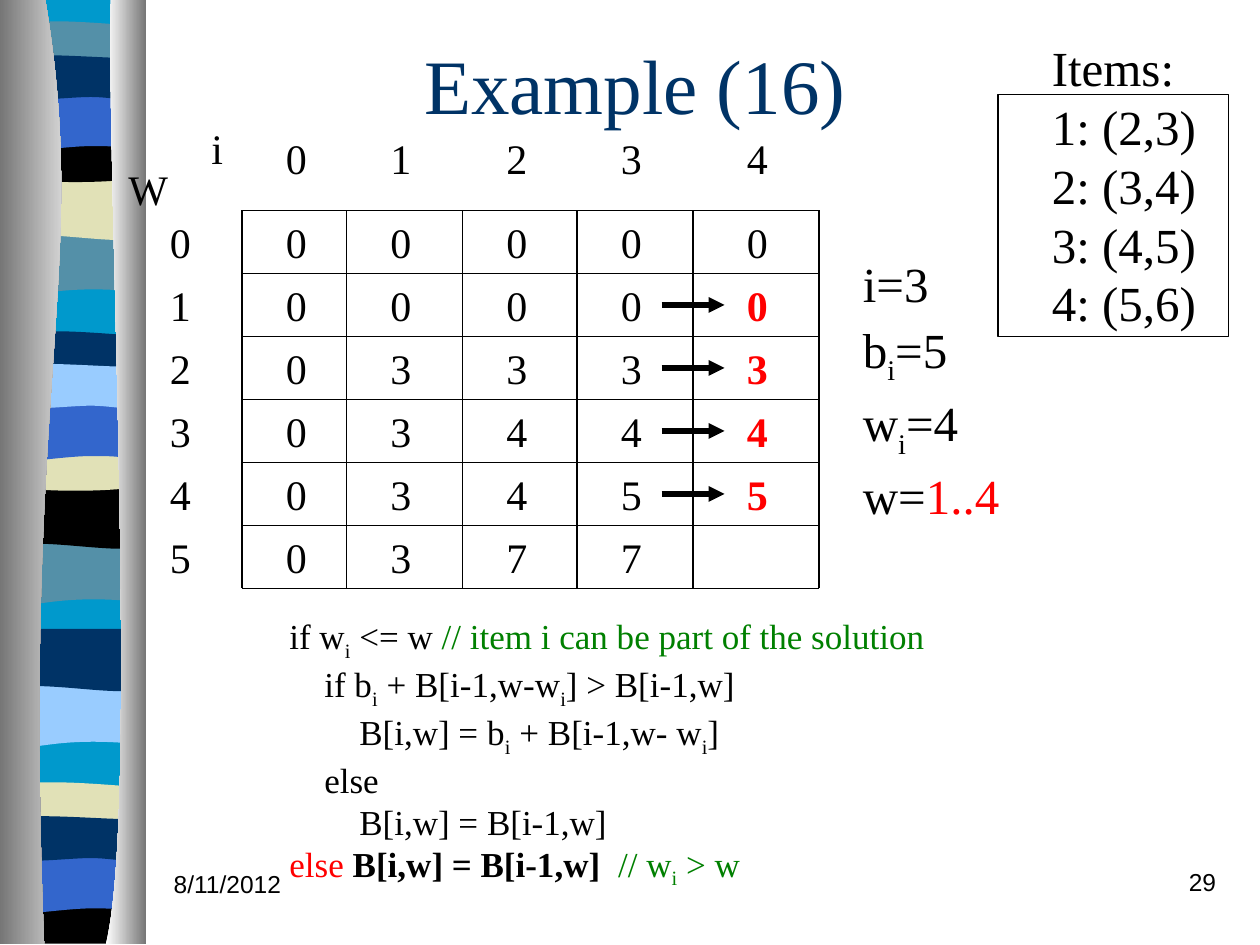
from lxml import etree
from pptx import Presentation
from pptx.dml.color import RGBColor
from pptx.enum.shapes import MSO_CONNECTOR, MSO_SHAPE
from pptx.enum.text import MSO_ANCHOR, PP_ALIGN
from pptx.oxml.ns import qn
from pptx.util import Inches, Pt

LEFT, CENTER, RIGHT = PP_ALIGN.LEFT, PP_ALIGN.CENTER, PP_ALIGN.RIGHT
TOP, MIDDLE = MSO_ANCHOR.TOP, MSO_ANCHOR.MIDDLE
RECT, STRAIGHT = MSO_SHAPE.RECTANGLE, MSO_CONNECTOR.STRAIGHT
BLACK = RGBColor(0x00, 0x00, 0x00)
WHITE = RGBColor(0xFF, 0xFF, 0xFF)
GREY = RGBColor(0x76, 0x76, 0x76)
NAVY = RGBColor(0x00, 0x33, 0x66)
BLUE = RGBColor(0x33, 0x66, 0xCC)
SKY = RGBColor(0x99, 0xCC, 0xFF)
TEAL = RGBColor(0x00, 0x99, 0xCC)
STEEL = RGBColor(0x54, 0x90, 0xA8)
SAND = RGBColor(0xE1, 0xE1, 0xB7)
RED = RGBColor(0xFF, 0x00, 0x00)
GREEN = RGBColor(0x00, 0x80, 0x00)
SERIF, SANS = "Times New Roman", "Arial"

SWELL = [(1.09, 0), (1.09, 0.47), (0.34, 0.39, 0.19, 0.55, 0, 0.47), (0, 0)]
ROLL = [(1.09, 0), (1.09, 0.47), (0.91, 0.55, 0.34, 0.41, 0, 0.47), (0, 0)]
THIN = [(1.09, 0.05), (1.09, 0.29), (0.91, 0.34, 0.19, 0.34, 0, 0.29), (0, 0.05),
        (0.07, 0, 0.24, 0.01, 0.42, 0.01), (0.6, 0.01, 0.95, 0.04, 1.09, 0.05)]
CAP = [(1.09, 0), (1.09, 0.32), (0.91, 0.38, 0.19, 0.38, 0, 0.32), (0, 0),
       (0.67, 0.05, 0.86, 0, 1.09, 0)]
ARCH = [(1.09, 0), (1.09, 0.47), (0.92, 0.42, 0.85, 0.42, 0.67, 0.42),
        (0.49, 0.42, 0.17, 0.47, 0, 0.47), (0, 0)]
DIP = [(1.09, 0.05), (1.09, 0.36), (1.02, 0.41, 0.85, 0.36, 0.67, 0.36),
       (0.49, 0.36, 0.12, 0.41, 0, 0.36), (0, 0.05),
       (0.16, 0, 0.74, 0.05, 0.92, 0.05), (1.1, 0.05, 1.05, 0.05, 1.09, 0.05)]
FOOT = [(1.09, 0), (1.09, 0.37), (0, 0.37), (0, 0), (0.67, 0.05, 0.86, 0, 1.09, 0)]
SHEET = [(1.09, 0), (1.09, 7.47), (0, 7.47), (0, 0)]
BANDS = [
    (SHEET, 0, TEAL),
    (SWELL, 1.85, STEEL), (ROLL, 1.41, SAND), (THIN, 0.16, STEEL),
    (CAP, 1.08, BLACK), (ARCH, 0.74, BLUE), (DIP, 0.41, NAVY),
    (SWELL, 4.31, STEEL), (ROLL, 3.86, BLACK), (THIN, 2.62, NAVY),
    (CAP, 3.53, SAND), (ARCH, 3.2, BLUE), (DIP, 2.86, SKY),
    (SWELL, 5.44, SKY), (ROLL, 4.99, NAVY), (THIN, 6.2, SAND),
    (FOOT, 7.12, BLACK), (ARCH, 6.79, BLUE), (DIP, 6.45, NAVY),
]
PILLARS = [
    ([(0.36, 0), (0.72, 2.16, 0.17, 2.96, 0.35, 7.49), (0, 7.49), (0, 0)], GREY, WHITE),
    ([(0.88, 0), (0.84, 1.25, 1.11, 6.46, 0.84, 7.49), (1.16, 7.49), (1.16, 0)], WHITE, GREY),
]

GRID = ["00000", "00000", "03333", "03444", "03455", "0377"]
EDGES = [0, 0.83, 1.75, 2.66, 3.58, 4.58]
SPOTS = [0.25, 1.08, 2, 2.91, 3.91]
ROW = 0.5
CODE = [
    [("    if w~i~ <= w ", BLACK, False), ("// item i can be part of the solution", GREEN, False)],
    "        if b~i~ + B[i-1,w-w~i~] > B[i-1,w]",
    "            B[i,w] = b~i~ + B[i-1,w- w~i~]",
    "        else",
    "            B[i,w] = B[i-1,w]",
    [("    ", BLACK, False), ("else ", RED, False), ("B[i,w] = B[i-1,w]  ", BLACK, True),
     ("// w~i~ > w", GREEN, False)],
]
STATE = ["i=3", "b~i~=5", "w~i~=4", [("w=", BLACK, False), ("1..4", RED, False)]]
ITEMS = ["Items:", "1: (2,3)", "2: (3,4)", "3: (4,5)", "4: (5,6)"]


def write(frame, lines, size=24, face=SERIF, color=BLACK, bold=False, align=LEFT, space=None):
    for row, line in enumerate(lines):
        para = frame.paragraphs[0] if row == 0 else frame.add_paragraph()
        para.alignment = align
        if space:
            para.line_spacing = space
        parts = [(line, color, bold)] if isinstance(line, str) else line
        for text, tint, heavy in parts:
            for index, piece in enumerate(text.split("~")):
                if not piece:
                    continue
                run = para.add_run()
                run.text = piece
                font = run.font
                font.size, font.name, font.bold = Pt(size), face, heavy
                font.color.rgb = tint
                if index % 2:
                    run._r.get_or_add_rPr().set("baseline", "-25000")


def label(slide, box, lines, wrap=False, anchor=TOP, **style):
    frame = slide.shapes.add_textbox(*map(Inches, box)).text_frame
    frame.word_wrap = wrap
    frame.vertical_anchor = anchor
    write(frame, lines, **style)


def form(slide, path, left, top):
    dots = [(Inches(left + x), Inches(top + y))
            for node in path for x, y in zip(node[::2], node[1::2])]
    pen = slide.shapes.build_freeform(*dots[0])
    pen.add_line_segments(dots[1:], close=True)
    shape = pen.convert_to_shape()
    shape.shadow.inherit = False
    shape.line.fill.background()
    steps = iter(list(shape._element.iter(qn("a:lnTo"))))
    for node in path[1:]:
        step = next(steps)
        if len(node) == 6:
            step.tag = qn("a:cubicBezTo")
            for extra in (next(steps), next(steps)):
                step.append(extra[0])
                extra.getparent().remove(extra)
    return shape


def border(slide, left, top):
    for path, drop, color in BANDS:
        fill = form(slide, path, left + 0.05, top + drop).fill
        fill.solid()
        fill.fore_color.rgb = color
    for path, start, end in PILLARS:
        fill = form(slide, path, left, top).fill
        fill.gradient()
        fill.gradient_angle = 0
        for stop, color in zip(fill.gradient_stops, (start, end)):
            stop.color.rgb = color


def rule(slide, start, end, weight=0.75, arrow=False):
    line = slide.shapes.add_connector(STRAIGHT, *map(Inches, (*start, *end)))
    line.line.color.rgb = BLACK
    line.line.width = Pt(weight)
    if arrow:
        etree.SubElement(line.line._get_or_add_ln(), qn("a:tailEnd"), type="triangle")
    etree.SubElement(line._element.spPr, qn("a:effectLst"))


def matrix(slide, left, top):
    wide, high = EDGES[-1], ROW * len(GRID)
    for row in range(len(GRID) + 1):
        y = top + ROW * row
        rule(slide, (left, y), (left + wide, y))
    for x in EDGES:
        rule(slide, (left + x, top), (left + x, top + high))
    label(slide, (left - 1, top - 0.42, 0.52, 0.5), ["W"])
    label(slide, (left - 0.34, top - 0.75, 0.29, 0.5), ["i"])
    for col, x in enumerate(SPOTS):
        label(slide, (left + x, top - 0.67, 0.37, 0.5), [str(col)])
    for row, values in enumerate(GRID):
        y = top + ROW * row
        label(slide, (left - 0.67, y, 0.37, 0.5), [str(row)])
        for col, value in enumerate(values):
            fresh = col == 4 and row > 0
            label(slide, (left + SPOTS[col], y, 0.37, 0.5), [value],
                  color=RED if fresh else BLACK, bold=fresh)
    for row in range(1, 5):
        y = top + ROW * (row + 0.5)
        rule(slide, (left + 3.33, y), (left + 3.83, y), weight=3, arrow=True)


def goods(slide, left, top):
    frame = slide.shapes.add_shape(RECT, *map(Inches, (left, top + 0.5, 1.83, 1.92)))
    frame.shadow.inherit = False
    frame.fill.background()
    frame.line.color.rgb = BLACK
    frame.line.width = Pt(0.75)
    label(slide, (left + 0.33, top, 1.44, 2.44), ITEMS, size=28)


def main():
    deck = Presentation()
    deck.slide_width, deck.slide_height = Inches(10), Inches(7.5)
    slide = deck.slides.add_slide(deck.slide_layouts[6])
    border(slide, 0, 0)
    label(slide, (1.28, 6.85, 2.08, 0.5), ["8/11/2012"], wrap=True, size=14, face=SANS)
    label(slide, (7.67, 6.83, 2.08, 0.5), ["29"], wrap=True, size=14, face=SANS, align=RIGHT)
    label(slide, (2.33, 0.33, 5.42, 0.67), ["Example (16)"], wrap=True, anchor=MIDDLE,
          size=44, color=NAVY, align=CENTER)
    label(slide, (1.92, 4.83, 7.58, 2.1), CODE, wrap=True, size=20)
    matrix(slide, 1.92, 1.67)
    label(slide, (6.75, 1.92, 1.58, 2.16), STATE, wrap=True, size=28, space=1.1)
    goods(slide, 7.92, 0.25)
    deck.save("out.pptx")


if __name__ == "__main__":
    main()
